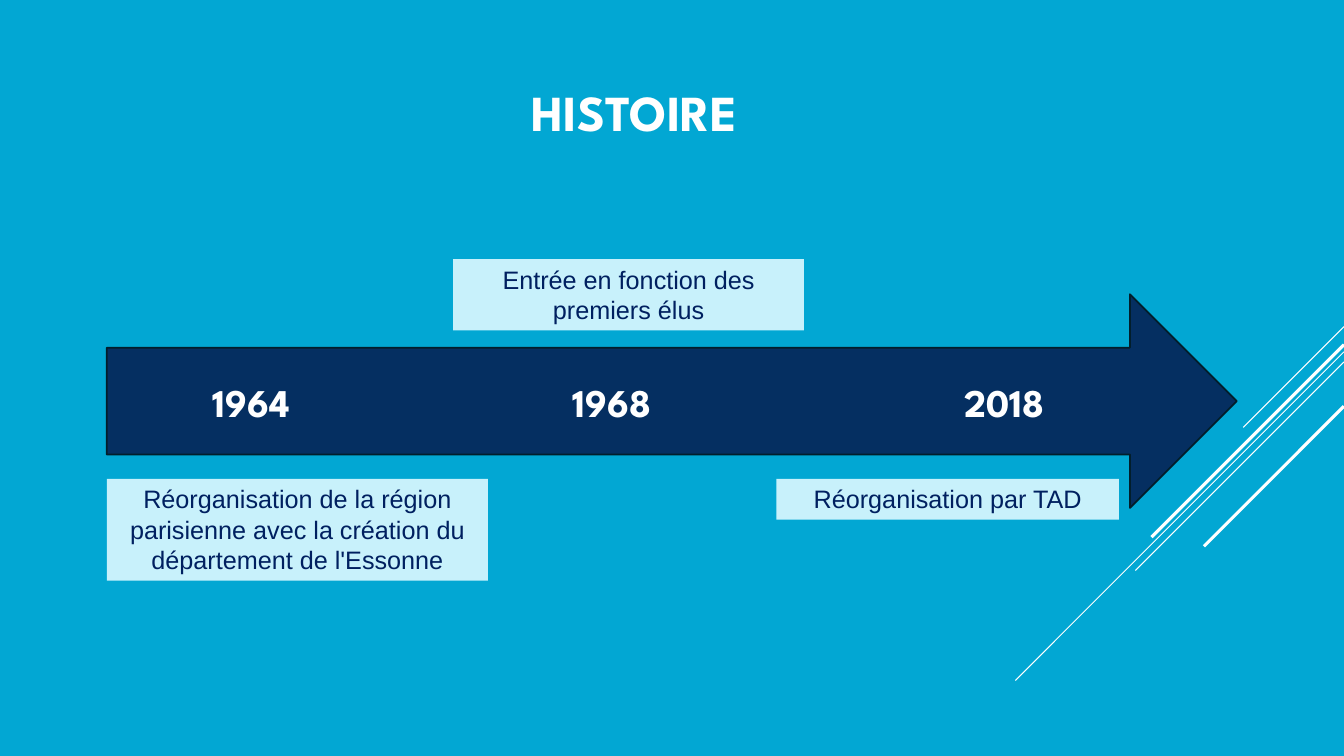
from pptx import Presentation
from pptx.dml.color import RGBColor
from pptx.enum import shapes, text
from pptx.oxml import xmlchemy
from pptx.util import Pt

SKY = RGBColor(0x02, 0xA7, 0xD3)
NAVY = RGBColor(0x05, 0x2F, 0x61)
ARROW_EDGE = RGBColor(0x02, 0x1E, 0x2B)
PALE = RGBColor(0xC8, 0xF1, 0xFB)
INK = RGBColor(0x00, 0x20, 0x60)
WHITE = RGBColor(0xFF, 0xFF, 0xFF)

SLIDE_WIDTH, SLIDE_HEIGHT = 960, 540
HEADING_FONT, BODY_FONT = "League Spartan", "Arial"

# Diagonals leave the right edge at 45°: start height, run, line width
DIAGONALS = [
    (233.3, 72, 0.75),
    (251.3, 234.7, 0.75),
    (258.5, 149, 0.75),
    (246.2, 137.5, 2.25),
    (290.2, 100, 2.25),
]
# Left, top, width, height, wording
EVENTS = [
    (76.3, 342, 272.2, 72.7,
     "Réorganisation de la région parisienne avec la création du "
     "département de l'Essonne"),
    (323.7, 185.1, 250.6, 50.9, "Entrée en fonction des premiers élus"),
    (554.6, 342, 244.6, 29.1, "Réorganisation par TAD"),
]
YEARS = [(112.3, "1964"), (370, "1968"), (650.2, "2018")]


def write(frame, wording, size, name, color, bold=False):
    """Fill a text frame with one centred, formatted paragraph."""
    frame.word_wrap = True
    paragraph = frame.paragraphs[0]
    paragraph.alignment = text.PP_ALIGN.CENTER
    run = paragraph.add_run()
    run.text = wording
    run.font.color.rgb = color
    look = {"size": Pt(size), "name": name, "bold": bold}
    for attribute, value in look.items():
        setattr(run.font, attribute, value)


def add_diagonal(slide, top, run, width):
    diagonal = slide.shapes.add_connector(
        shapes.MSO_CONNECTOR.STRAIGHT,
        Pt(SLIDE_WIDTH), Pt(top), Pt(SLIDE_WIDTH - run), Pt(top + run))
    diagonal.line.color.rgb = WHITE
    diagonal.line.width = Pt(width)
    properties = diagonal._element.spPr
    properties.append(xmlchemy.OxmlElement("a:effectLst"))


def add_title(slide, wording):
    title = slide.shapes.title
    box = {"left": 117.4, "top": 20.2, "width": 671.8, "height": 118.8}
    for attribute, value in box.items():
        setattr(title, attribute, Pt(value))
    title.text_frame.vertical_anchor = text.MSO_ANCHOR.MIDDLE
    write(title.text_frame, wording, 36, HEADING_FONT, WHITE, bold=True)


def add_filled(slide, kind, box, fill):
    shape = slide.shapes.add_shape(kind, *map(Pt, box))
    shape.shadow.inherit = False
    shape.fill.solid()
    shape.fill.fore_color.rgb = fill
    return shape


def add_time_arrow(slide):
    arrow = add_filled(slide, shapes.MSO_SHAPE.RIGHT_ARROW,
                       (76.3, 210.2, 807.1, 152.6), NAVY)
    arrow.line.color.rgb = ARROW_EDGE
    arrow.line.width = Pt(1.25)


def add_event(slide, box, wording):
    event = add_filled(slide, shapes.MSO_SHAPE.RECTANGLE, box, PALE)
    event.line.fill.background()
    event.text_frame.vertical_anchor = text.MSO_ANCHOR.TOP
    event.text_frame.auto_size = text.MSO_AUTO_SIZE.SHAPE_TO_FIT_TEXT
    write(event.text_frame, wording, 18, BODY_FONT, INK)


def add_year(slide, left, wording):
    year = slide.shapes.add_textbox(Pt(left), Pt(266.4), Pt(134.6), Pt(41))
    year.text_frame.auto_size = text.MSO_AUTO_SIZE.SHAPE_TO_FIT_TEXT
    write(year.text_frame, wording, 28, HEADING_FONT, WHITE, bold=True)


def main():
    deck = Presentation()
    deck.slide_width, deck.slide_height = Pt(SLIDE_WIDTH), Pt(SLIDE_HEIGHT)
    slide = deck.slides.add_slide(deck.slide_layouts.get_by_name("Title Only"))
    slide.background.fill.solid()
    slide.background.fill.fore_color.rgb = SKY

    for diagonal in DIAGONALS:
        add_diagonal(slide, *diagonal)
    add_time_arrow(slide)
    add_title(slide, "HISTOIRE")
    for *box, wording in EVENTS:
        add_event(slide, box, wording)
    for left, wording in YEARS:
        add_year(slide, left, wording)
    deck.save("out.pptx")


if __name__ == "__main__":
    main()
